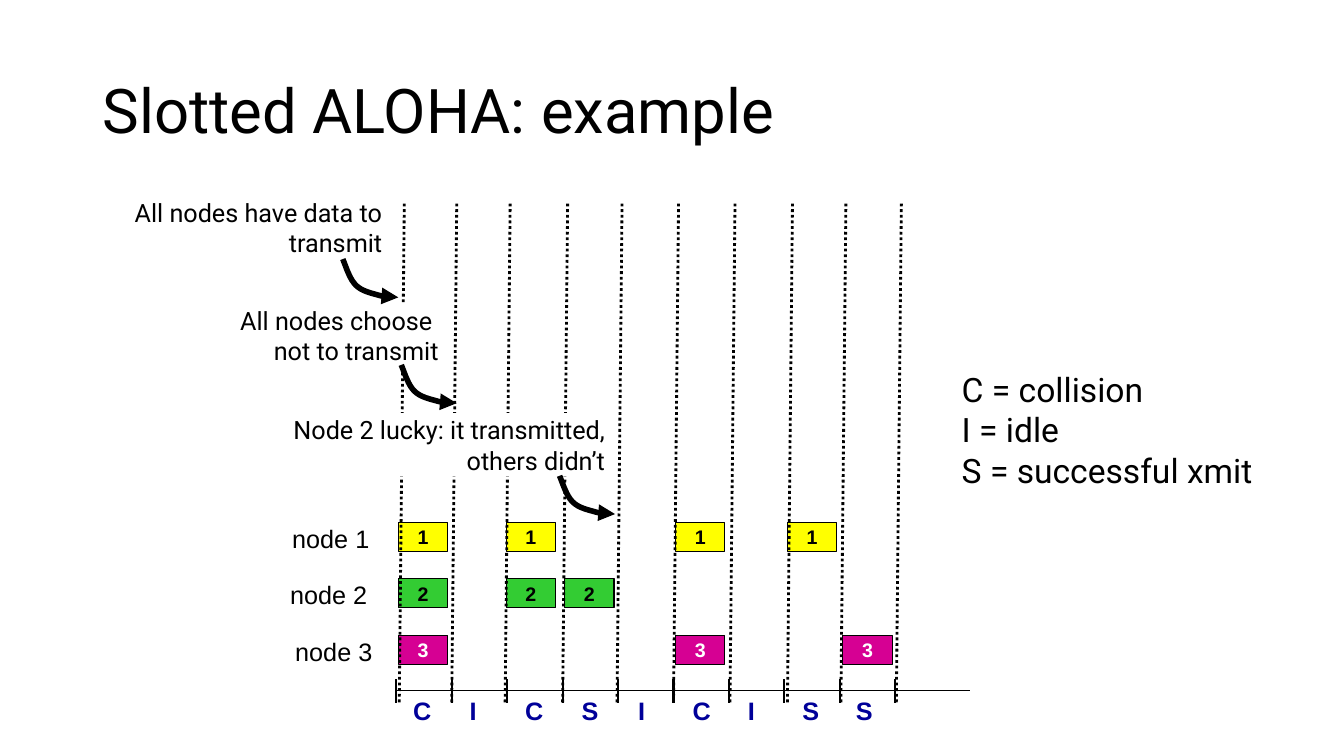
from dataclasses import dataclass

from lxml.etree import SubElement
from pptx import Presentation
from pptx.dml.color import RGBColor
from pptx.enum.dml import MSO_LINE
from pptx.enum.shapes import MSO_CONNECTOR, MSO_SHAPE
from pptx.enum.text import MSO_ANCHOR, MSO_AUTO_SIZE, PP_ALIGN
from pptx.oxml.ns import qn
from pptx.util import Inches, Pt


@dataclass(frozen=True)
class Theme:
    heading: str = "Roboto"
    label: str = "Arial"
    black: str = "000000"
    white: str = "FFFFFF"
    navy: str = "000099"
    yellow: str = "FFFF00"
    green: str = "33CC33"
    magenta: str = "D60093"
    title: int = 44
    legend: int = 24
    text: int = 18
    packet: int = 14


T = Theme()

# Guide top x, packet x, outcome, outcome x, transmitting nodes
SLOTS = [
    (4.01, 3.95, "C", 4.00, (1, 2, 3)),
    (4.53, 4.48, "I", 4.56, ()),
    (5.06, 5.02, "C", 5.11, (1, 2)),
    (5.63, 5.60, "S", 5.67, (2,)),
    (6.17, 6.13, "I", 6.23, ()),
    (6.73, 6.70, "C", 6.77, (1, 3)),
    (7.29, 7.24, "I", 7.32, ()),
    (7.86, 7.81, "S", 7.86, (1,)),
    (8.39, 8.36, "S", 8.39, (3,)),
]
LAST_GUIDE = 8.94
# Node: packet fill, text colour, label x
NODES = {
    1: (T.yellow, T.black, 2.80),
    2: (T.green, T.black, 2.78),
    3: (T.magenta, T.white, 2.83),
}
PACKET_TOP, NODE_GAP = 5.18, 0.56
AXIS_LEFT, AXIS_Y, SLOT_WIDTH = 3.93, 6.85, 0.55
CALLOUTS = [
    (0.99, 1.94, 2.90, ["All nodes have data to transmit"]),
    (1.55, 3.01, 2.90, ["All nodes choose ", "not to transmit"]),
    (2.68, 4.10, 3.42, ["Node 2 lucky: it transmitted, others didn’t"]),
]
ARROWS = [(3.40, 2.57), (3.98, 3.62), (5.55, 4.72)]
# Bezier segments relative to the arrow's start
ARROW_CURVE = [
    ((0, 0), (0.04, 0.10), (0.07, 0.20), (0.13, 0.26)),
    ((0.13, 0.26), (0.19, 0.32), (0.29, 0.34), (0.36, 0.36)),
    ((0.36, 0.36), (0.43, 0.38), (0.49, 0.38), (0.55, 0.38)),
]


def bezier(points, t):
    weights = ((1 - t) ** 3, 3 * t * (1 - t) ** 2, 3 * t * t * (1 - t), t ** 3)
    return tuple(sum(w * p[axis] for w, p in zip(weights, points)) for axis in (0, 1))


def write(tf, lines, size=T.text, font=T.label, color=T.black, bold=False,
          align=PP_ALIGN.LEFT, anchor=MSO_ANCHOR.TOP, wrap=True, spacing=1.0):
    tf.word_wrap = wrap
    tf.vertical_anchor = anchor
    for i, line in enumerate(lines):
        p = tf.add_paragraph() if i else tf.paragraphs[0]
        p.alignment, p.line_spacing = align, spacing
        r = p.add_run()
        r.text = line
        r.font.size, r.font.name, r.font.bold = Pt(size), font, bold
        r.font.color.rgb = RGBColor.from_string(color)


class SlideBuilder:
    def __init__(self, prs, theme):
        self.theme = theme
        self.s = prs.slides.add_slide(prs.slide_layouts[5])

    def title(self, text):
        sp = self.s.shapes.title
        sp.left, sp.top = Inches(0.92), Inches(0.4)
        sp.width, sp.height = Inches(11.5), Inches(1.45)
        write(sp.text_frame, [text], size=self.theme.title, font=self.theme.heading,
              anchor=MSO_ANCHOR.MIDDLE, spacing=0.9)
        sp.text_frame.auto_size = MSO_AUTO_SIZE.NONE

    def text(self, x, y, w, h, lines, **style):
        sp = self.s.shapes.add_textbox(Inches(x), Inches(y), Inches(w), Inches(h))
        write(sp.text_frame, lines, **style)
        sp.text_frame.auto_size = MSO_AUTO_SIZE.SHAPE_TO_FIT_TEXT

    def box(self, x, y, w, h, lines, fill, outline=None, **style):
        sp = self.s.shapes.add_shape(MSO_SHAPE.RECTANGLE, Inches(x), Inches(y),
                                     Inches(w), Inches(h))
        sp.shadow.inherit = False
        sp.fill.solid()
        sp.fill.fore_color.rgb = RGBColor.from_string(fill)
        if outline:
            self.stroke(sp.line, outline)
        else:
            sp.line.fill.background()
        write(sp.text_frame, lines, anchor=MSO_ANCHOR.MIDDLE, **style)

    def stroke(self, line, width):
        line.width = Pt(width)
        line.color.rgb = RGBColor.from_string(self.theme.black)

    def line(self, x1, y1, x2, y2, width, dash=None):
        cx = self.s.shapes.add_connector(MSO_CONNECTOR.STRAIGHT, Inches(x1), Inches(y1),
                                         Inches(x2), Inches(y2))
        self.stroke(cx.line, width)
        if dash:
            cx.line.dash_style = dash
        SubElement(cx._element.spPr, qn("a:effectLst"))

    def curved_arrow(self, x, y, steps=8):
        points = [bezier(segment, i / steps) for segment in ARROW_CURVE
                  for i in range(1, steps + 1)]
        builder = self.s.shapes.build_freeform(Inches(x), Inches(y))
        builder.add_line_segments([(Inches(x + dx), Inches(y + dy)) for dx, dy in points],
                                  close=False)
        sp = builder.convert_to_shape()
        sp.shadow.inherit = False
        sp.fill.background()
        self.stroke(sp.line, 4)
        SubElement(sp.line._get_or_add_ln(), qn("a:tailEnd"), type="triangle")


def main():
    prs = Presentation()
    prs.slide_width, prs.slide_height = Inches(13.33), Inches(7.5)
    slide = SlideBuilder(prs, T)
    slide.title("Slotted ALOHA: example")

    for node, (fill, color, label_x) in NODES.items():
        y = PACKET_TOP + (node - 1) * NODE_GAP
        for _, x, _, _, senders in SLOTS:
            if node in senders:
                slide.box(x, y, 0.49, 0.29, [str(node)], fill, outline=0.75, color=color,
                          size=T.packet, bold=True, align=PP_ALIGN.CENTER)
        slide.text(label_x, y - 0.04, 0.97, 0.4, [f"node {node}"], wrap=False)

    slide.line(AXIS_LEFT, AXIS_Y, 9.62, AXIS_Y, 0.75)
    for i in range(len(SLOTS) + 1):
        x = AXIS_LEFT + i * SLOT_WIDTH
        slide.line(x, AXIS_Y - 0.11, x, AXIS_Y + 0.12, 1.5)
    for _, _, outcome, x, _ in SLOTS:
        slide.text(x, AXIS_Y, 0.27 if outcome == "I" else 0.38, 0.4, [outcome],
                   color=T.navy, bold=True, wrap=False)
    for x in [slot[0] for slot in SLOTS] + [LAST_GUIDE]:
        slide.line(x, 2.02, x - 0.05, 6.98, 2, MSO_LINE.ROUND_DOT)

    for x, y, w, lines in CALLOUTS:
        slide.box(x, y, w, 0.63, lines, T.white, font=T.heading, align=PP_ALIGN.RIGHT)
    slide.text(9.44, 3.61, 3.48, 1.31,
               ["C = collision", "I = idle", "S = successful xmit"],
               size=T.legend, font=T.heading)
    for x, y in ARROWS:
        slide.curved_arrow(x, y)
    prs.save("out.pptx")


if __name__ == "__main__":
    main()
